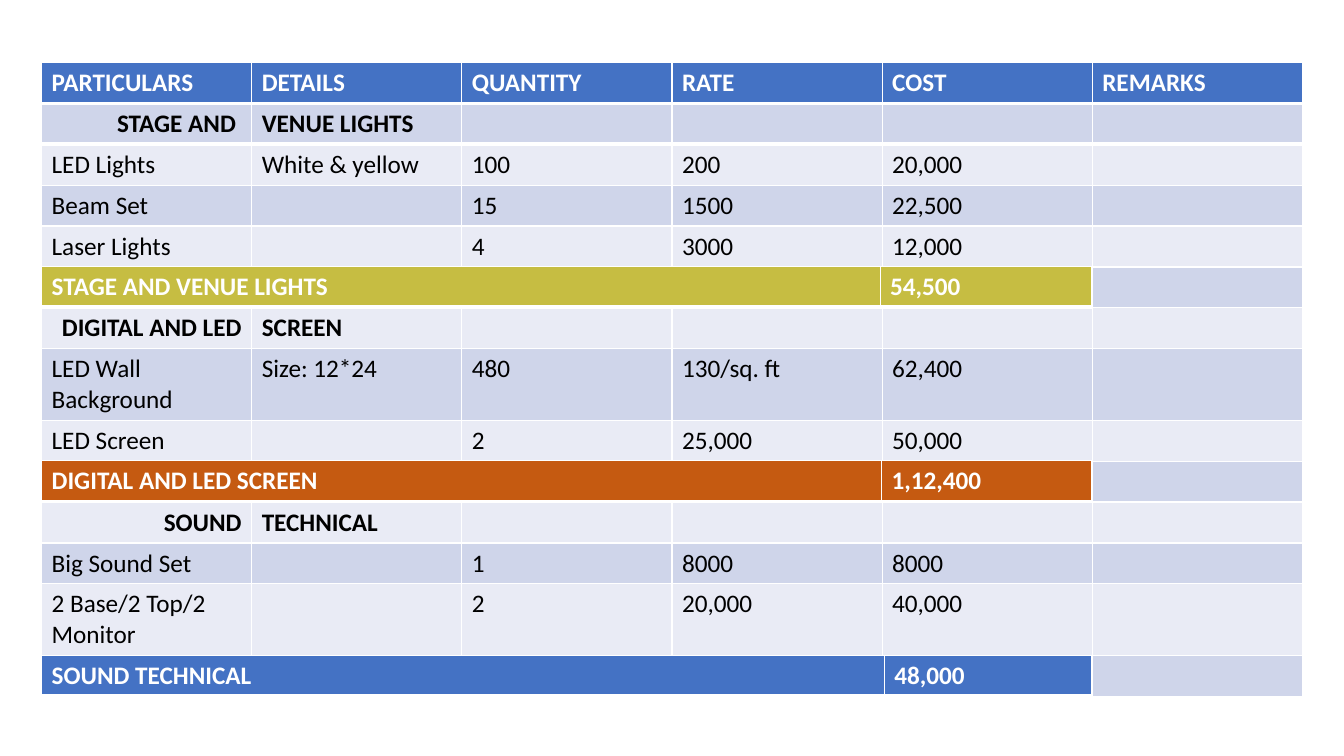
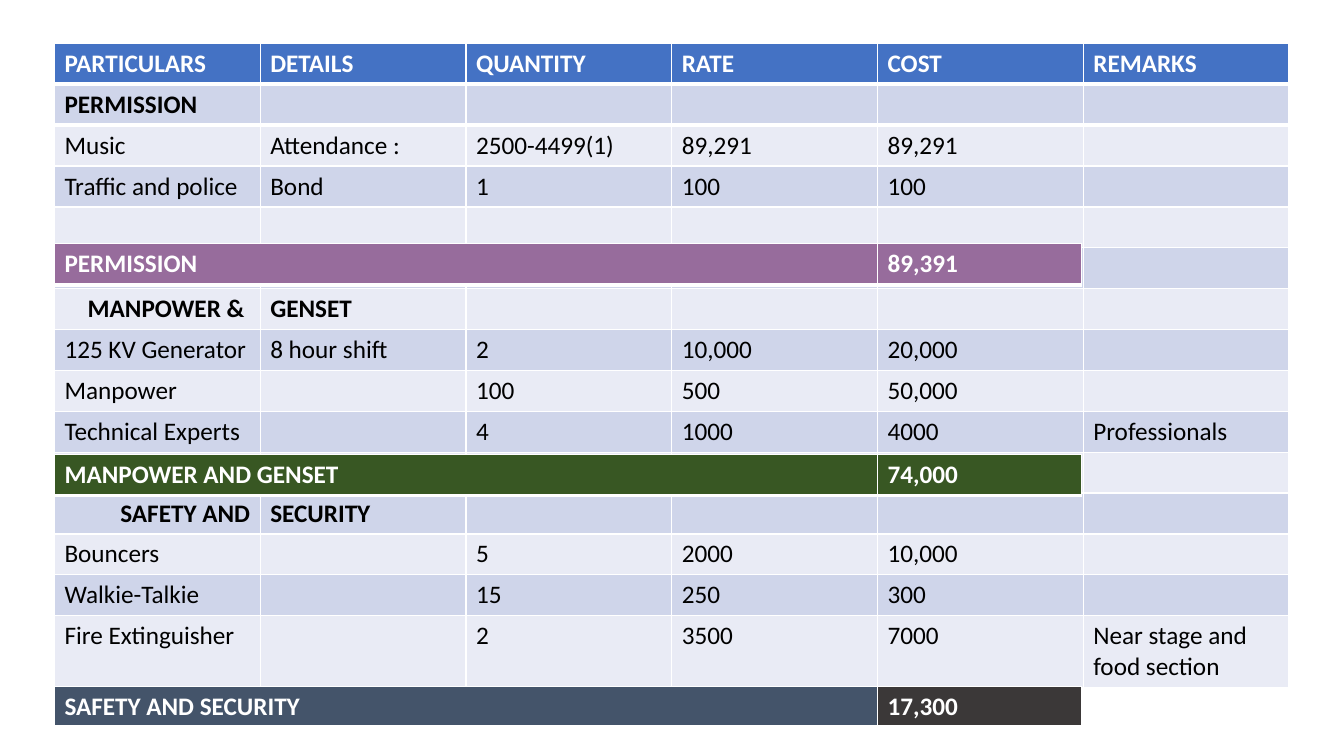
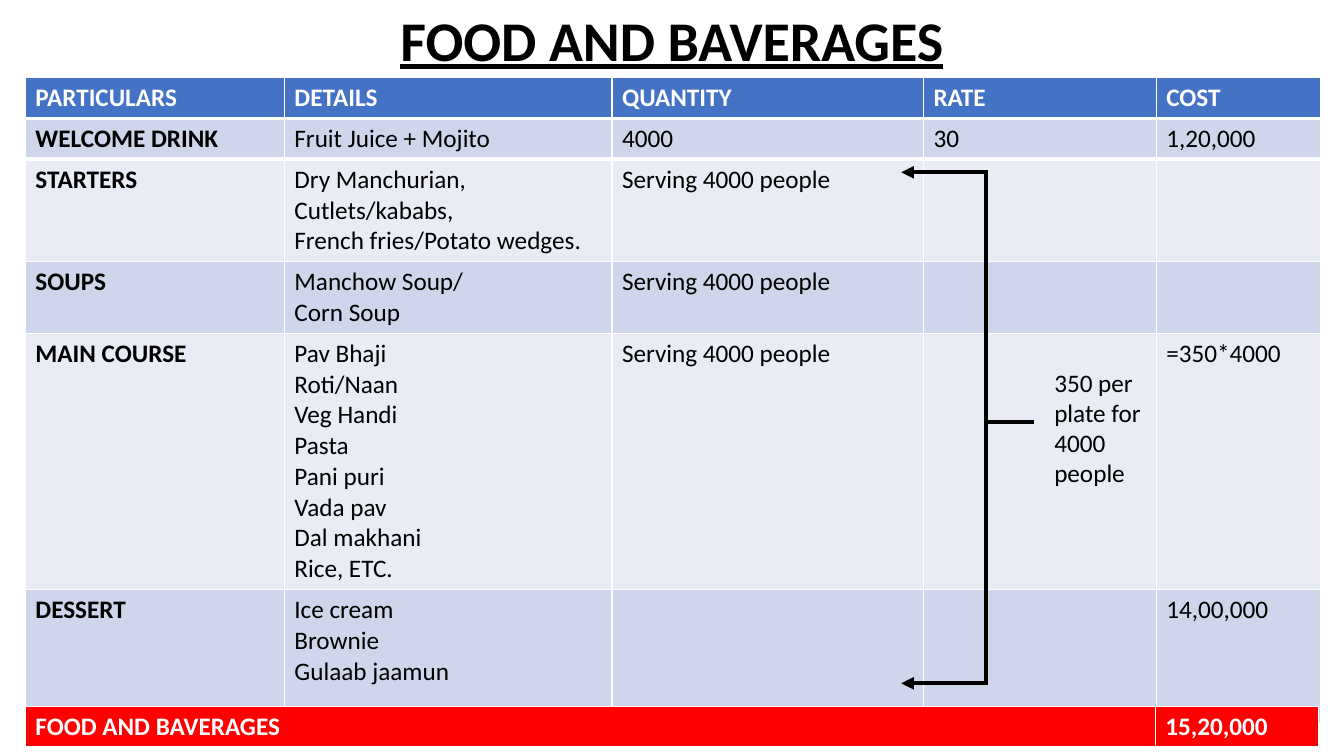
from pptx import Presentation
from pptx.dml.color import RGBColor
from pptx.enum.shapes import MSO_CONNECTOR
from pptx.enum.text import MSO_ANCHOR, PP_ALIGN
from pptx.oxml.ns import qn
from pptx.util import Pt
from lxml import etree

LINE = MSO_CONNECTOR.STRAIGHT
LEFT, RIGHT = PP_ALIGN.LEFT, PP_ALIGN.RIGHT
TOP = MSO_ANCHOR.TOP
FONT = "Calibri"
COLORS = {
    "white": "FFFFFF", "black": "000000", "blue": "4472C4",
    "odd": "CFD5EA", "even": "E9EBF5", "olive": "C6BD42",
    "rust": "C55A11", "plum": "976C9C", "green": "385723",
    "slate": "44546A", "coal": "3B3838", "red": "FF0000",
}
ROW = 29.2
PITCH = 21.9
HEADS = ("PARTICULARS", "DETAILS", "QUANTITY", "RATE", "COST", "REMARKS")

LIGHTS = [
    ("STAGE AND ", "VENUE LIGHTS"),
    ("LED Lights", "White & yellow", "100", "200", "20,000"),
    ("Beam Set", "", "15", "1500", "22,500"),
    ("Laser Lights", "", "4", "3000", "12,000"),
    (),
    ("DIGITAL AND LED", "SCREEN"),
    ("LED Wall Background", "Size: 12*24", "480", "130/sq. ft", "62,400"),
    ("LED Screen", "", "2", "25,000", "50,000"),
    (),
    ("SOUND", "TECHNICAL"),
    ("Big Sound Set", "", "1", "8000", "8000"),
    ("2 Base/2 Top/2 Monitor", "", "2", "20,000", "40,000"),
    (),
]
CREW = [
    ("PERMISSION",),
    ("Music", "Attendance :", "2500-4499(1)", "89,291", "89,291"),
    ("Traffic and police", "Bond", "1", "100", "100"),
    (),
    (),
    ("MANPOWER & ", "GENSET"),
    ("125 KV Generator", "8 hour shift", "2", "10,000", "20,000"),
    ("Manpower", "", "100", "500", "50,000"),
    ("Technical Experts", "", "4", "1000", "4000", "Professionals"),
    (),
    ("SAFETY AND", "SECURITY"),
    ("Bouncers", "", "5", "2000", "10,000"),
    ("Walkie-Talkie", "", "15", "250", "300"),
    ("Fire Extinguisher", "", "2", "3500", "7000",
     "Near stage and food section"),
]
SERVE = "Serving 4000 people"
MENU = [
    ("WELCOME DRINK", "Fruit Juice + Mojito", "4000", "30", "1,20,000"),
    ("STARTERS",
     "Dry Manchurian,\nCutlets/kababs,\nFrench fries/Potato wedges.", SERVE),
    ("SOUPS", "Manchow Soup/\nCorn Soup", SERVE),
    ("MAIN COURSE", "Pav Bhaji\nRoti/Naan\nVeg Handi\nPasta\nPani puri\n"
     "Vada pav\nDal makhani\nRice, ETC.", SERVE, "", "=350*4000"),
    ("DESSERT", "Ice cream\nBrownie\nGulaab jaamun", "", "", "14,00,000"),
]


def rgb(name):
    """Look up a named colour."""
    return RGBColor.from_string(COLORS[name])


def write(frame, text, size=18, color="black", bold=False, line=False,
          align=LEFT):
    """Fill a text frame, one paragraph to a line, in one format."""
    frame.text = text
    for para in frame.paragraphs:
        para.alignment = align
        for run in para.runs:
            font = run.font
            font.name, font.size = FONT, Pt(size)
            font.bold, font.underline = bold, line
            font.color.rgb = rgb(color)


def paint(cell, text, fill, rim=None, **style):
    """Colour a table cell, write its text, and widen one border (rim)."""
    if rim:
        props = cell._tc.get_or_add_tcPr()
        edge = etree.SubElement(props, qn("a:" + rim), w=str(Pt(3)))
        solid = etree.SubElement(edge, qn("a:solidFill"))
        etree.SubElement(solid, qn("a:srgbClr"), val=COLORS["white"])
    cell.fill.solid()
    cell.fill.fore_color.rgb = rgb(fill)
    if text:
        write(cell.text_frame, text, **style)


def frame(slide, x, y, widths, highs):
    """Add an empty table with the given column widths and row heights."""
    table = slide.shapes.add_table(
        len(highs), len(widths), Pt(x), Pt(y),
        Pt(sum(widths)), Pt(sum(highs))).table
    for col, width in zip(table.columns, widths):
        col.width = Pt(width)
    for row, high in zip(table.rows, highs):
        row.height = Pt(high)
    return table


def grid(slide, x, y, widths, rows, tall, lead=False):
    """Add a banded cost table; tall maps row numbers to line counts."""
    highs = [ROW + PITCH * (tall.get(i, 1) - 1) for i in range(len(rows) + 1)]
    table = frame(slide, x, y, widths, highs)
    for c, head in enumerate(HEADS[:len(widths)]):
        paint(table.cell(0, c), head, "blue", "lnB", color="white", bold=True)
    for r, row in enumerate(rows, 1):
        group = not lead and len(row) in (1, 2)
        texts = row + ("",) * (len(widths) - len(row))
        for c, text in enumerate(texts):
            split = group and len(row) == 2 and c == 0
            paint(table.cell(r, c), text, "odd" if r % 2 else "even",
                  "lnT" if r == 1 else None,
                  bold=group or (lead and c == 0),
                  align=RIGHT if split else LEFT)


def total(slide, x, y, widths, name, cost, fill, end=None):
    """Add a one-row total bar; end is the fill of the cost cell."""
    table = frame(slide, x, y, widths, [ROW])
    for c, (text, shade) in enumerate(((name, fill), (cost, end or fill))):
        paint(table.cell(0, c), text, shade, "lnB", color="white", bold=True)


def rule(slide, x1, y1, x2, y2, arrow=False):
    """Draw a heavy black line, with an arrowhead at its end if asked."""
    wire = slide.shapes.add_connector(LINE, Pt(x1), Pt(y1), Pt(x2), Pt(y2))
    wire.line.width = Pt(3)
    wire.line.color.rgb = rgb("black")
    props = wire.element.spPr
    if arrow:
        etree.SubElement(props.find(qn("a:ln")), qn("a:tailEnd"),
                         type="triangle")
    etree.SubElement(props, qn("a:effectLst"))


def brace(slide, x, y, width, high):
    """Link the served rows to the plate price, in the given box."""
    spine, end = x + 60.5, y + high
    rule(slide, spine, y, spine, end)
    for level in (y, end):
        rule(slide, spine + 1.4, level, x, level, arrow=True)
    middle = y + 178.6
    rule(slide, spine + 1.4, middle, x + width, middle)
    note = slide.shapes.add_textbox(
        Pt(x + width + 7.2), Pt(middle - 43.2), Pt(81.4), Pt(94.3))
    note.text_frame.word_wrap = True
    write(note.text_frame, "350 per plate for 4000 people")


def title(slide, x, y, width, high, text):
    """Place and format the slide title."""
    head = slide.shapes.title
    head.left, head.top = Pt(x), Pt(y)
    head.width, head.height = Pt(width), Pt(high)
    head.text_frame.word_wrap = False
    head.text_frame.vertical_anchor = TOP
    write(head.text_frame, text, size=40, bold=True, line=True)


def stage(slide, x, y, width):
    """Build the stage, screen and sound costs."""
    grid(slide, x, y, [width / 6] * 6, LIGHTS, {7: 2, 12: 2})
    bar = 750.2
    for top, first, name, cost, fill in (
            (145.4, 599, "STAGE AND VENUE LIGHTS", "54,500", "olive"),
            (423.4, 602, "SOUND TECHNICAL", "48,000", "blue"),
            (284.4, 600, "DIGITAL AND LED SCREEN", "1,12,400", "rust")):
        total(slide, x, y + top, [first, bar - first], name, cost, fill)


def staff(slide, x, y, width):
    """Build the permission, manpower and safety costs."""
    grid(slide, x, y, [width / 6] * 6, CREW, {14: 2})
    for top, name, cost, fill, end in (
            (293.7, "MANPOWER AND GENSET", "74,000", "green", None),
            (459.3, "SAFETY AND SECURITY", "17,300", "slate", "coal"),
            (143.2, "PERMISSION", "89,391", "plum", None)):
        total(slide, x, y + top, [588, 145.7], name, cost, fill, end)


def food(slide, x, y):
    """Build the food costs with the plate price."""
    name = "FOOD AND BAVERAGES"
    title(slide, x + 260.6, 0, 402.5, y, name)
    grid(slide, x, y, [185, 234, 222.5, 166.3, 117.6], MENU,
         {2: 3, 3: 2, 4: 8, 5: 4}, lead=True)
    brace(slide, x + 625.7, y + 67.7, 95, 365)
    total(slide, x, y + 449.4, [807.1, 116.6], name, "15,20,000", "red")


def main():
    """Build and save the deck."""
    deck = Presentation()
    deck.slide_width, deck.slide_height = Pt(960), Pt(540)
    bare, headed = deck.slide_layouts[6], deck.slide_layouts[5]
    stage(deck.slides.add_slide(bare), 29.7, 44.7, 900.6)
    staff(deck.slides.add_slide(bare), 38.9, 31, 882)
    food(deck.slides.add_slide(headed), 18.1, 55.4)
    deck.save("out.pptx")


main()
